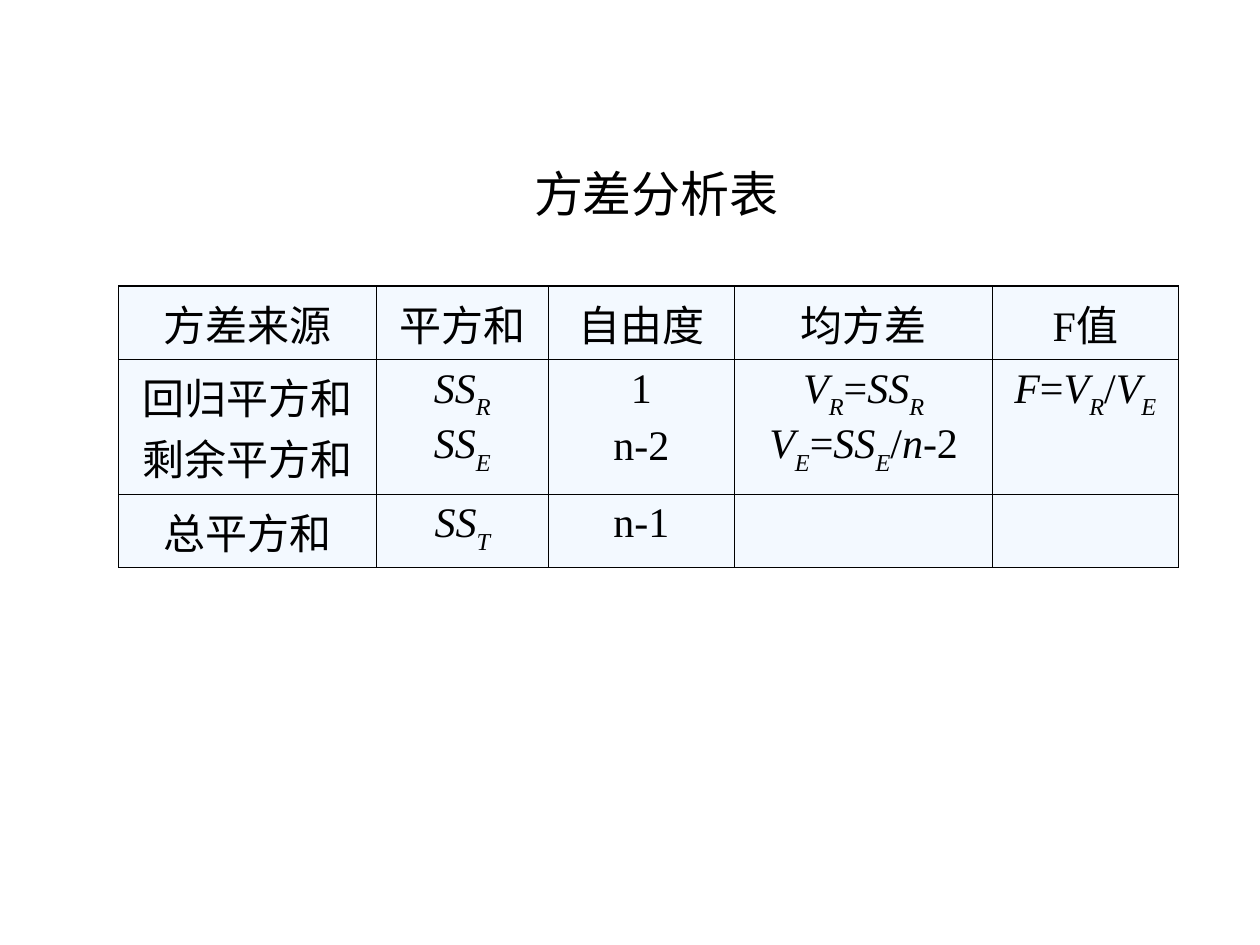
import pptx
import pptx.dml.color
import pptx.enum.text
import pptx.oxml
import pptx.oxml.ns
import pptx.util
from pptx.util import Inches

BLACK = pptx.dml.color.RGBColor(0x00, 0x00, 0x00)
PALE_BLUE = pptx.dml.color.RGBColor(0xF3, 0xF9, 0xFF)
THIN, THICK = 0.45, 0.96

COLUMN_WIDTHS = [2.05, 1.36, 1.48, 2.05, 1.47]
ROW_HEIGHTS = [0.55, 1.05, 0.57]

# Each cell is a list of lines; *x* is italic and _x_ an italic subscript.
ROWS = [
    [["方差来源"], ["平方和"], ["自由度"], ["均方差"], ["F值"]],
    [["回归平方和", "剩余平方和"], ["*SS*_R_", "*SS*_E_"], ["1", "n-2"],
     ["*V*_R_=*SS*_R_", "*V*_E_=*SS*_E_/*n*-2"], ["*F*=*V*_R_/*V*_E_"]],
    [["总平方和"], ["*SS*_T_"], ["n-1"], [], []],
]
DEGREES_COLUMN = 2


def add_run(p, text, size, font, italic=False, subscript=False):
    r = p.add_run()
    r.text = text
    r.font.size = pptx.util.Pt(size)
    r.font.name = font
    r.font.color.rgb = BLACK
    r.font.italic = italic
    if subscript:
        r.font._element.set("baseline", "-30000")


def add_formula(p, markup):
    """Add one run for each stretch of plain, *italic* or _subscript_ text."""
    for i, part in enumerate(markup.replace("_", "*_*").split("*")):
        pass
    mark, text = "", ""
    for char in markup + "\n":
        if char not in "*_\n":
            text += char
            continue
        if text:
            add_run(p, text, 24, "Times New Roman", mark != "", mark == "_")
        text = ""
        mark = "" if char == mark else char


def set_borders(cell, top, bottom):
    tc_pr = cell._tc.get_or_add_tcPr()
    for side, width in (("L", THIN), ("R", THIN), ("T", top), ("B", bottom)):
        tc_pr.append(pptx.oxml.parse_xml(
            f'<a:ln{side} {pptx.oxml.ns.nsdecls("a")} w="{pptx.util.Pt(width)}">'
            f'<a:solidFill><a:srgbClr val="{BLACK}"/></a:solidFill></a:ln{side}>'))


def fill_cell(cell, lines, gap):
    cell.fill.solid()
    cell.fill.fore_color.rgb = PALE_BLUE
    tf = cell.text_frame
    for i, line in enumerate(lines):
        p = tf.add_paragraph() if i else tf.paragraphs[0]
        p.alignment = pptx.enum.text.PP_ALIGN.CENTER
        if i and gap:
            p.space_before = pptx.util.Pt(gap)
        add_formula(p, line)


def add_variance_table(s, left, top, width, height):
    table = s.shapes.add_table(len(ROWS), len(COLUMN_WIDTHS),
                               left, top, width, height).table
    table.first_row = table.horz_banding = False
    for column, column_width in zip(table.columns, COLUMN_WIDTHS):
        column.width = Inches(column_width)
    for row, row_height in zip(table.rows, ROW_HEIGHTS):
        row.height = Inches(row_height)
    last = len(ROWS) - 1
    for i, row in enumerate(ROWS):
        for j, lines in enumerate(row):
            cell = table.cell(i, j)
            set_borders(cell, THICK if i == 0 else THIN,
                        THICK if i == last else THIN)
            fill_cell(cell, lines, 6 if j == DEGREES_COLUMN else 0)


def add_title(s, left, top, width, height):
    tf = s.shapes.add_textbox(left, top, width, height).text_frame
    tf.word_wrap = True
    tf.vertical_anchor = pptx.enum.text.MSO_ANCHOR.MIDDLE
    add_run(tf.paragraphs[0], "方差分析表", 28, "Arial")


def main():
    prs = pptx.Presentation()
    prs.slide_width, prs.slide_height = Inches(10), Inches(7.5)
    s = prs.slides.add_slide(prs.slide_layouts[6])
    add_variance_table(s, Inches(0.94), Inches(2.27), Inches(8.41), Inches(2.17))
    add_title(s, Inches(4.14), Inches(1.25), Inches(2.42), Inches(0.57))
    prs.save("out.pptx")


if __name__ == "__main__":
    main()
